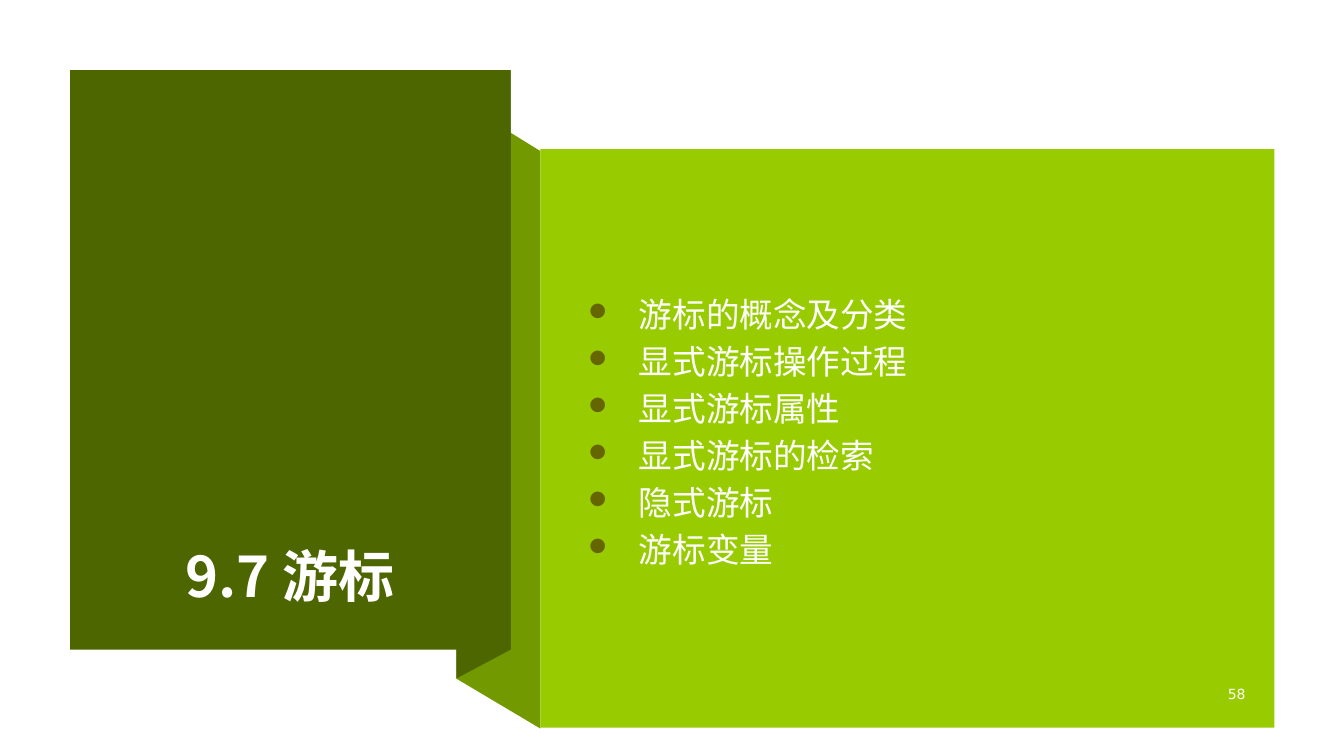
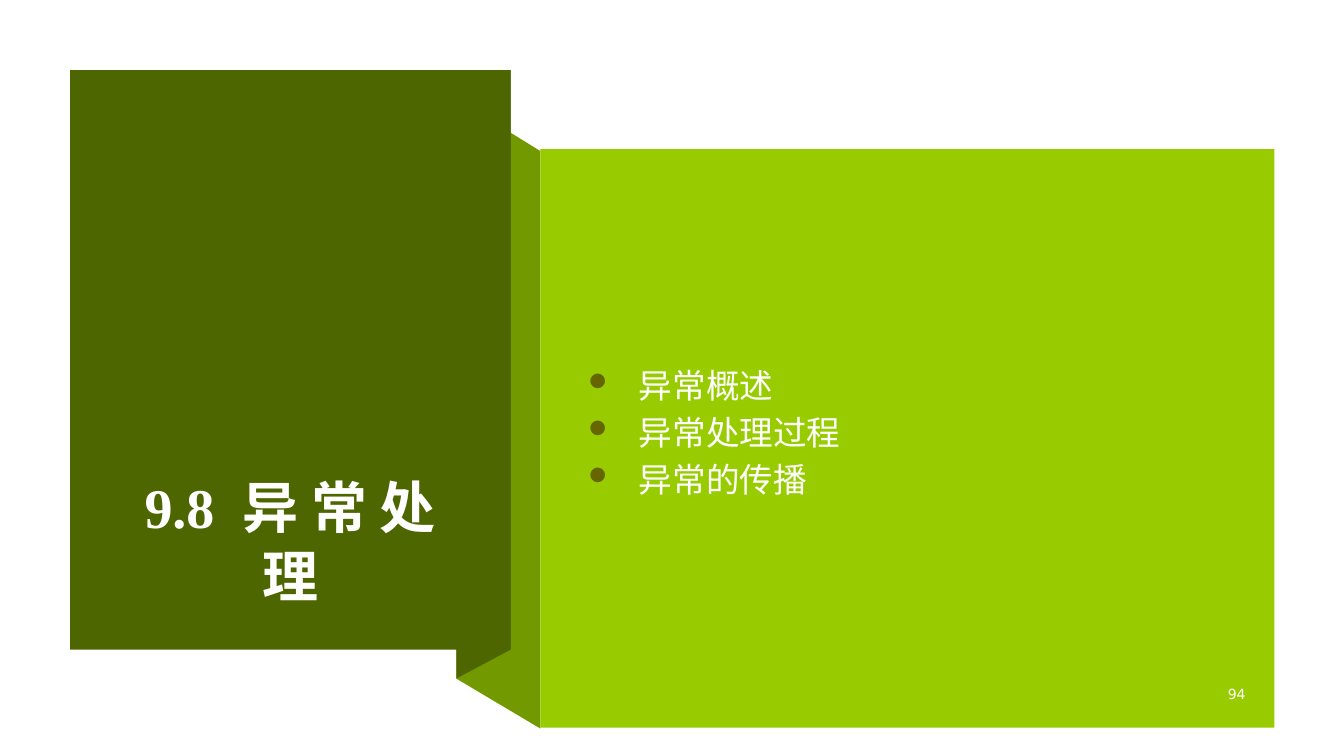
from lxml import etree
from pptx import Presentation
from pptx.dml.color import RGBColor
from pptx.enum.shapes import MSO_SHAPE
from pptx.enum.text import MSO_ANCHOR, MSO_AUTO_SIZE, PP_ALIGN
from pptx.oxml.ns import qn
from pptx.util import Cm, Pt

RECT = MSO_SHAPE.RECTANGLE
BOTTOM, MIDDLE = MSO_ANCHOR.BOTTOM, MSO_ANCHOR.MIDDLE
CENTER, RIGHT = PP_ALIGN.CENTER, PP_ALIGN.RIGHT
NO_AUTOFIT = MSO_AUTO_SIZE.NONE

DARK = RGBColor(0x4D, 0x66, 0x00)
FOLD = RGBColor(0x73, 0x99, 0x00)
LIME = RGBColor(0x99, 0xCC, 0x00)
BULLET = RGBColor(0x66, 0x66, 0x00)
WHITE = RGBColor(0xFF, 0xFF, 0xFF)
BODY_TEXT = RGBColor(0xFE, 0xFF, 0xFF)

CJK, SANS, SERIF = "Noto Sans CJK SC", "DejaVu Sans", "Times New Roman"

TITLE_PANEL = (1.77, 1.77, 11.1, 14.6)
TOPIC_PANEL = (13.62, 3.76, 18.5, 14.58)
FOLD_LEFT = 11.5

SECTIONS = [
    ("9.7 游标", CJK, CJK, "58",
     ["游标的概念及分类", "显式游标操作过程", "显式游标属性",
      "显式游标的检索", "隐式游标", "游标变量"]),
    ("9.8  异 常 处 理", SERIF, SANS, "94",
     ["异常概述", "异常处理过程", "异常的传播"]),
]


def paint(sp, color):
    sp.fill.solid()
    sp.fill.fore_color.rgb = color
    sp.line.fill.background()
    sp.shadow.inherit = False


def add_panel(slide, box, color):
    paint(slide.shapes.add_shape(RECT, *map(Cm, box)), color)


def add_polygon(slide, points, color):
    pts = [(Cm(x), Cm(y)) for x, y in points]
    fb = slide.shapes.build_freeform(*pts[0])
    fb.add_line_segments(pts[1:], close=True)
    paint(fb.convert_to_shape(), color)


def format_paragraph(p, size, font, color, bold=False):
    for r in p.runs:
        r.font.size = Pt(size)
        r.font.name = font
        r.font.bold = bold
        r.font.color.rgb = color
        ea = etree.SubElement(r.font._element, qn("a:ea"))
        ea.set("typeface", CJK)


def set_frame(tf, anchor, bottom):
    tf.word_wrap = True
    tf.auto_size = NO_AUTOFIT
    tf.vertical_anchor = anchor
    tf.margin_left = tf.margin_right = Cm(0.33)
    tf.margin_top = Cm(0.18)
    tf.margin_bottom = Cm(bottom)


def add_bullet(p):
    pPr = p._p.get_or_add_pPr()
    pPr.set("marL", str(Cm(1.27)))
    pPr.set("indent", str(-Cm(1.27)))
    clr = etree.SubElement(pPr, qn("a:buClr"))
    etree.SubElement(clr, qn("a:srgbClr")).set("val", str(BULLET))
    etree.SubElement(pPr, qn("a:buSzPct")).set("val", "75000")
    etree.SubElement(pPr, qn("a:buFont")).set("typeface", "Wingdings")
    etree.SubElement(pPr, qn("a:buChar")).set("char", "l")


def add_ribbon(slide, title_box, topic_box):
    x, y, w, h = title_box
    tx, ty, _, th = topic_box
    edge, low = x + w, y + h
    drop = 0.73
    add_polygon(slide, [(tx, ty + th + 0.02), (FOLD_LEFT, low + drop),
                        (FOLD_LEFT, y + drop), (tx, ty + 0.05)], FOLD)
    add_polygon(slide, [(edge, low), (FOLD_LEFT, low + drop),
                        (FOLD_LEFT, y + drop), (edge, y)], DARK)


def add_title(slide, box, text, font):
    x, y, w, h = box
    add_panel(slide, box, DARK)
    sp = slide.shapes.title
    slide.shapes._spTree.append(sp._element)
    sp.left, sp.top = Cm(x + 0.83), Cm(y + 0.95)
    sp.width, sp.height = Cm(w - 1.68), Cm(h - 1.93)
    tf = sp.text_frame
    set_frame(tf, BOTTOM, 0.05)
    tf.text = text
    p = tf.paragraphs[0]
    p.alignment = CENTER
    p.line_spacing = Pt(49.3)
    format_paragraph(p, 40, font, WHITE, bold=True)


def add_topics(slide, box, topics, font, number):
    x, y, w, h = box
    add_panel(slide, box, LIME)
    sp = slide.shapes.add_textbox(Cm(x + 0.88), Cm(y + 1.02),
                                  Cm(w - 1.96), Cm(h - 2.54))
    tf = sp.text_frame
    set_frame(tf, MIDDLE, 0.18)
    tf.text = "\n".join(topics)
    for p in tf.paragraphs:
        add_bullet(p)
        p.line_spacing = Pt(33.6)
        format_paragraph(p, 24, font, BODY_TEXT)

    sp = slide.shapes.add_textbox(Cm(x + w - 2.38), Cm(y + h - 1.2),
                                  Cm(1.9), Cm(0.89))
    tf = sp.text_frame
    tf.word_wrap = True
    tf.text = number
    p = tf.paragraphs[0]
    p.alignment = RIGHT
    format_paragraph(p, 10, SANS, WHITE)


def add_section(prs, title, title_font, body_font, number, topics):
    slide = prs.slides.add_slide(prs.slide_layouts[5])
    add_ribbon(slide, TITLE_PANEL, TOPIC_PANEL)
    add_title(slide, TITLE_PANEL, title, title_font)
    add_topics(slide, TOPIC_PANEL, topics, body_font, number)


def main():
    prs = Presentation()
    prs.slide_width, prs.slide_height = Cm(33.87), Cm(19.05)
    for section in SECTIONS:
        add_section(prs, *section)
    prs.save("out.pptx")


if __name__ == "__main__":
    main()
